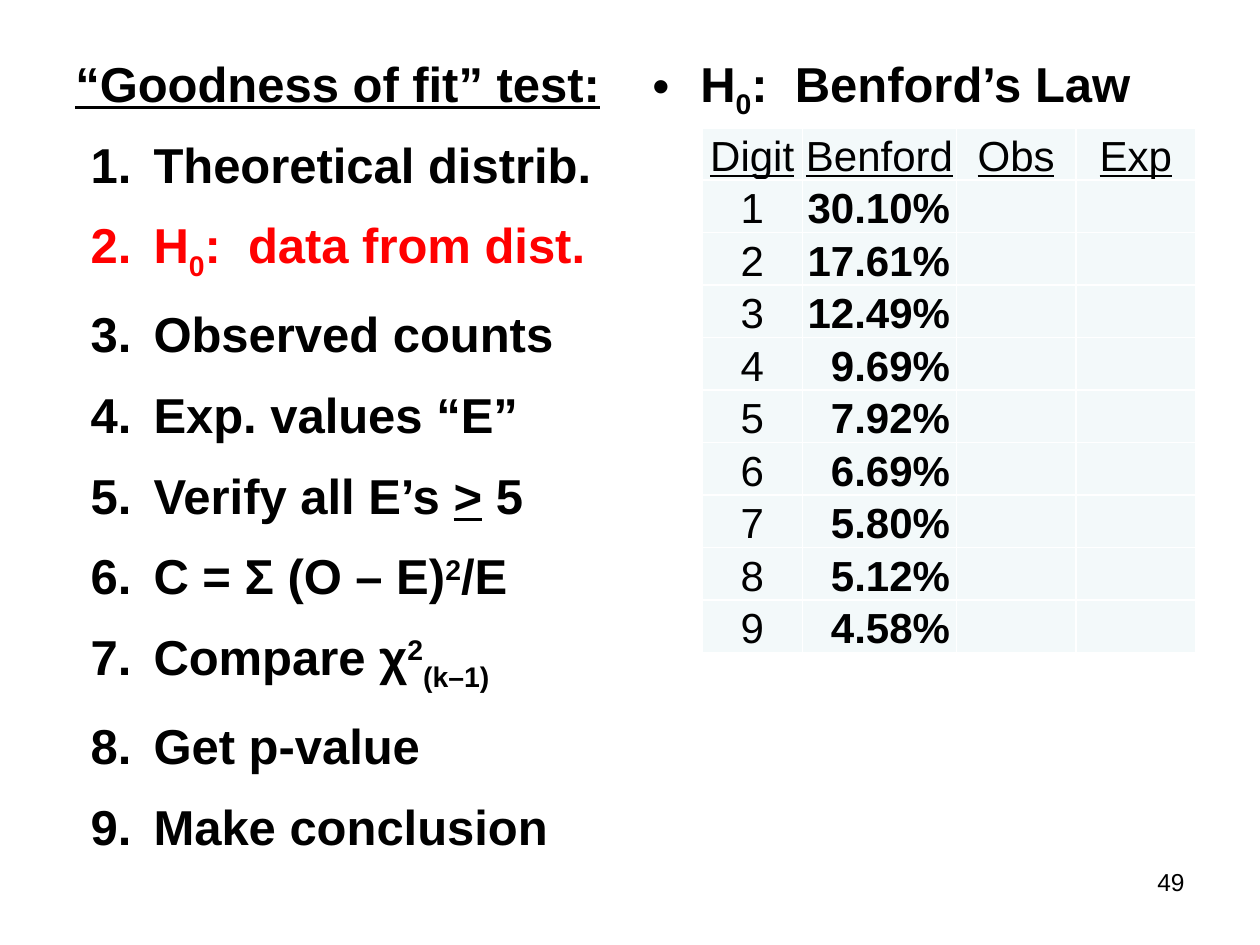
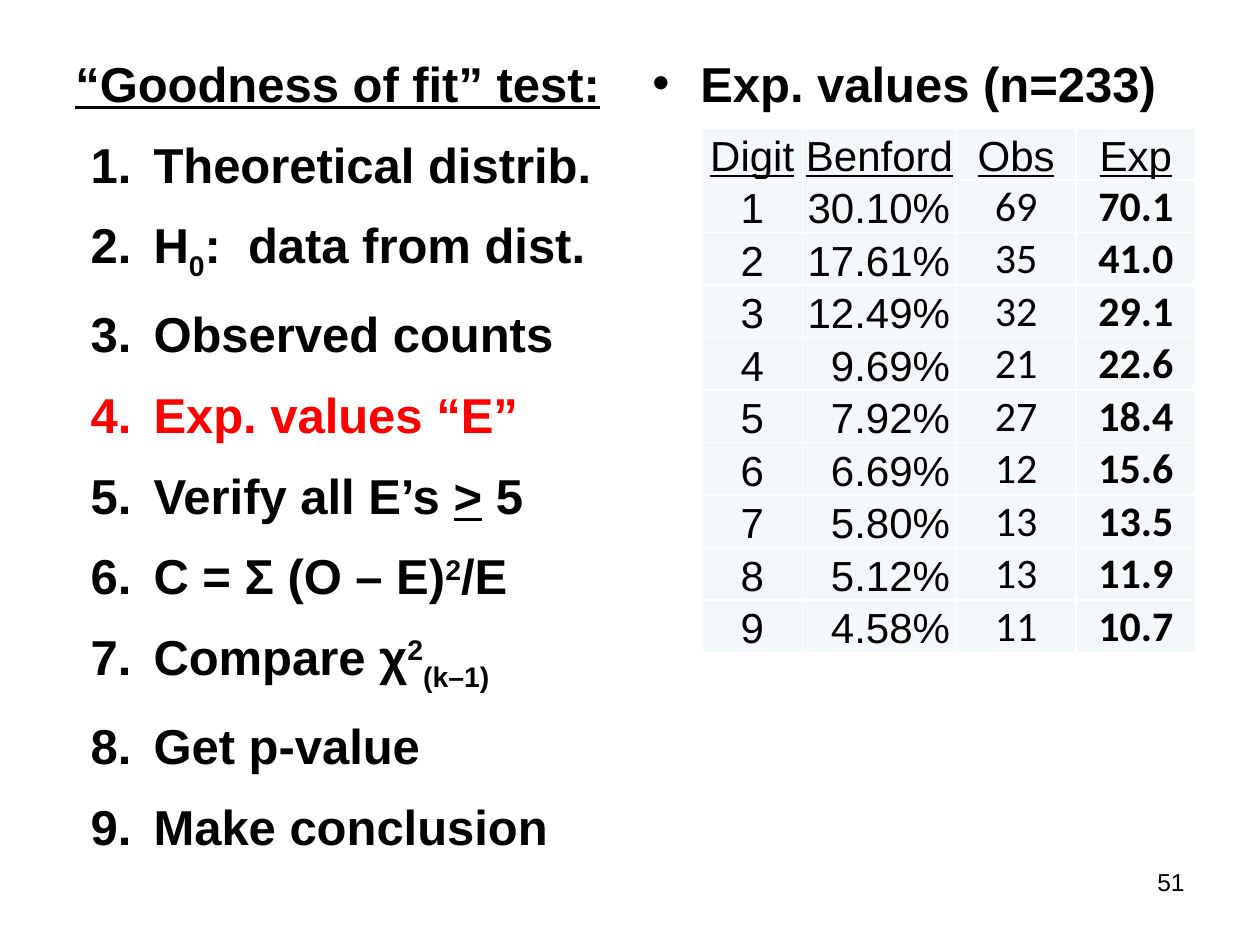
from lxml import etree
from pptx import Presentation
from pptx.dml.color import RGBColor
from pptx.enum.text import MSO_ANCHOR, PP_ALIGN
from pptx.oxml.ns import qn
from pptx.util import Inches, Pt

LEFT, CENTER, RIGHT = PP_ALIGN.LEFT, PP_ALIGN.CENTER, PP_ALIGN.RIGHT
BOTTOM = MSO_ANCHOR.BOTTOM
BLACK, RED, WHITE, PALE = "000000", "FF0000", "FFFFFF", "F3F9FA"

SUB, SUP, UNDER = "sub", "sup", "under"
BASELINES = {SUB: "-25000", SUP: "30000"}

TEST_TITLE = [("“Goodness of fit” test:", UNDER)]
STEPS = [
    [("Theoretical distrib.", None)],
    [("H", None), ("0", SUB), (":  data from dist.", None)],
    [("Observed counts", None)],
    [("Exp. values “E”", None)],
    [("Verify all E’s ", None), (">", UNDER), (" 5", None)],
    [("C = Σ (O – E)", None), ("2", SUP), ("/E", None)],
    [("Compare χ", None), ("2", SUP), ("(k–1)", SUB)],
    [("Get p-value", None)],
    [("Make conclusion", None)],
]
HEADINGS = ["Digit", "Benford", "Obs", "Exp"]
BENFORD = ["30.10%", "17.61%", "12.49%", "9.69%", "7.92%",
           "6.69%", "5.80%", "5.12%", "4.58%"]
OBSERVED = ["69", "35", "32", "21", "27", "12", "13", "13", "11"]
EXPECTED = ["70.1", "41.0", "29.1", "22.6", "18.4", "15.6", "13.5", "11.9", "10.7"]
NOT_YET = [""] * len(BENFORD)

SLIDES = [
    dict(number="49", current_step=2, bold_column="Benford",
         topic=[("H", None), ("0", SUB), (":  Benford’s Law", None)],
         observed=NOT_YET, expected=NOT_YET),
    dict(number="51", current_step=4, bold_column="Exp",
         topic=[("Exp. values (n=233)", None)],
         observed=OBSERVED, expected=EXPECTED),
]

WIDTH, HEIGHT = 10, 7.5
MARGIN, TOP = 0.05 * WIDTH, 0.05 * HEIGHT
HALF_WIDTH, HALF_HEIGHT = 4.42, 0.85 * HEIGHT
RIGHT_HALF = WIDTH - MARGIN - HALF_WIDTH
COLUMN_WIDTHS = [0.8, 1.22, 0.95, 0.95]
HEADING_ROW, DIGIT_ROW = Pt(28), Pt(30)
FIRST_GAP, STEP_GAP = 4, 12.5

BODY = dict(size=Pt(28), name="Arial", bold=True)
CELL = dict(size=Pt(24), name="Arial", bold=False)
PAGE = dict(size=Pt(14), name="Arial", bold=False)


def rgb(code):
    return RGBColor.from_string(code)


def apply(target, values):
    for key, value in values.items():
        setattr(target, key, value)


def write(paragraph, runs, style, color=BLACK, align=LEFT):
    paragraph.alignment = align
    for text, mark in runs:
        run = paragraph.add_run()
        run.text = text
        apply(run.font, style)
        run.font.color.rgb = rgb(color)
        if mark == UNDER:
            run.font.underline = True
        elif mark:
            run.font._element.set("baseline", BASELINES[mark])


def hang(paragraph, indent, hanging, bullet, **attributes):
    properties = paragraph._p.get_or_add_pPr()
    properties.set("marL", str(Inches(indent)))
    properties.set("indent", str(-Inches(hanging)))
    etree.SubElement(properties, qn("a:buFont"), typeface="Arial")
    etree.SubElement(properties, qn(bullet), **attributes)


def add_text(slide, left, top, width, height):
    box = slide.shapes.add_textbox(*map(Inches, (left, top, width, height)))
    box.text_frame.word_wrap = True
    return box


def add_half(slide, left):
    half = add_text(slide, left, TOP, HALF_WIDTH, HALF_HEIGHT)
    half.fill.solid()
    half.fill.fore_color.rgb = rgb(WHITE)
    tint = half._element.spPr.find(".//" + qn("a:srgbClr"))
    etree.SubElement(tint, qn("a:alpha"), val="90000")
    heading = half.text_frame.paragraphs[0]
    heading.space_before = Pt(FIRST_GAP)
    return half.text_frame, heading


def add_steps(slide, current_step):
    frame, heading = add_half(slide, MARGIN)
    write(heading, TEST_TITLE, BODY)
    for number, step in enumerate(STEPS, 1):
        line = frame.add_paragraph()
        line.space_before = Pt(STEP_GAP)
        hang(line, 0.62, 0.5, "a:buAutoNum", type="arabicPeriod")
        write(line, step, BODY, RED if number == current_step else BLACK)


def add_borders(cell):
    properties = cell._tc.get_or_add_tcPr()
    for position, side in enumerate(("a:lnL", "a:lnR", "a:lnT", "a:lnB")):
        border = etree.Element(qn(side), w=str(Pt(1)))
        fill = etree.SubElement(border, qn("a:solidFill"))
        etree.SubElement(fill, qn("a:srgbClr"), val=WHITE)
        properties.insert(position, border)


def add_digits(slide, content):
    digits = [str(n) for n in range(1, len(BENFORD) + 1)]
    rows = [HEADINGS, *zip(digits, BENFORD, content["observed"], content["expected"])]
    height = HEADING_ROW + DIGIT_ROW * len(digits)
    table = slide.shapes.add_table(
        len(rows), len(HEADINGS), Inches(5.57), Inches(1.02),
        Inches(sum(COLUMN_WIDTHS)), height).table
    apply(table, dict(first_row=False, horz_banding=False))
    for column, width in zip(table.columns, COLUMN_WIDTHS):
        column.width = Inches(width)
    for r, values in enumerate(rows):
        table.rows[r].height = DIGIT_ROW if r else HEADING_ROW
        for c, (heading, value) in enumerate(zip(HEADINGS, values)):
            percent = r > 0 and heading == "Benford"
            counted = r > 0 and heading in ("Obs", "Exp")
            cell = table.cell(r, c)
            apply(cell, dict(
                vertical_anchor=BOTTOM, margin_left=Inches(0.01),
                margin_right=Inches(0.05 if percent else 0.01),
                margin_top=Inches(0.01), margin_bottom=0))
            cell.fill.solid()
            cell.fill.fore_color.rgb = rgb(PALE)
            add_borders(cell)
            if value:
                style = dict(CELL, name="Calibri" if counted else "Arial",
                             bold=r > 0 and heading == content["bold_column"])
                write(cell.text_frame.paragraphs[0], [(value, None if r else UNDER)],
                      style, align=RIGHT if percent else CENTER)


def build(deck, content):
    slide = deck.slides.add_slide(deck.slide_layouts[6])
    add_steps(slide, content["current_step"])
    page = add_text(slide, 7.17, 6.83, 2.33, 0.52)
    write(page.text_frame.paragraphs[0], [(content["number"], None)], PAGE, align=RIGHT)
    _, topic = add_half(slide, RIGHT_HALF)
    hang(topic, 0.38, 0.38, "a:buChar", char="•")
    write(topic, content["topic"], BODY)
    add_digits(slide, content)


def main():
    deck = Presentation()
    apply(deck, dict(slide_width=Inches(WIDTH), slide_height=Inches(HEIGHT)))
    for content in SLIDES:
        build(deck, content)
    deck.save("out.pptx")


if __name__ == "__main__":
    main()
